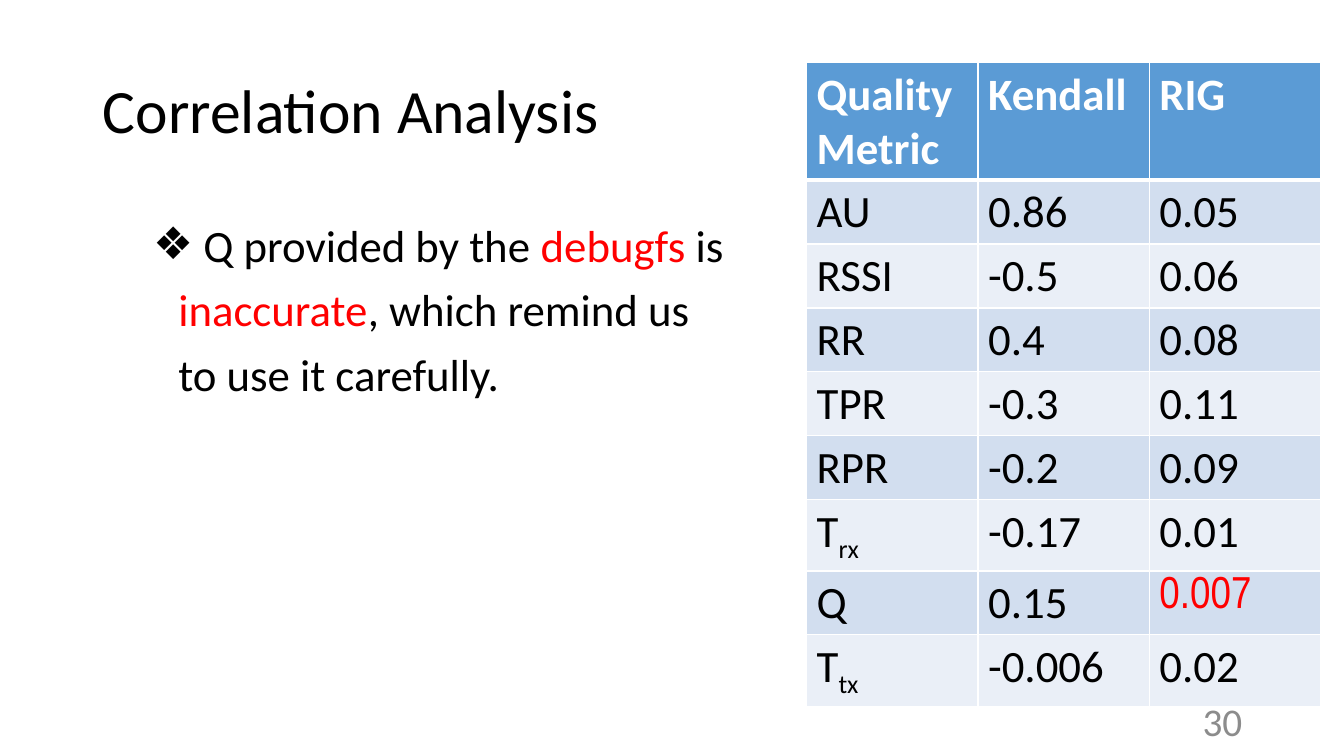
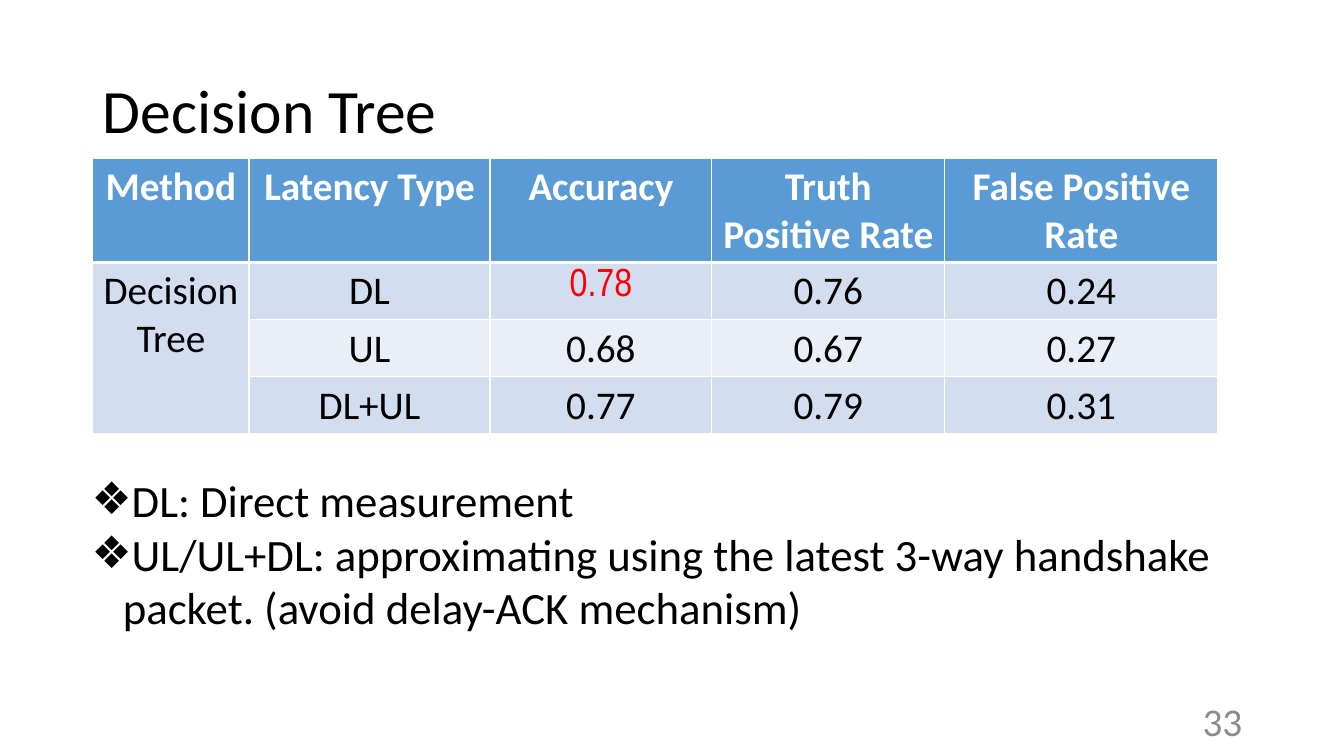
from lxml import etree
from pptx import Presentation
from pptx.dml.color import RGBColor
from pptx.enum.text import MSO_ANCHOR as Anchor, MSO_AUTO_SIZE as Fit, PP_ALIGN as Align
from pptx.oxml.ns import qn
from pptx.util import Inches, Pt

BLACK, WHITE, RED, GREY = "000000", "FFFFFF", "FF0000", "8C8C8C"
HEAD, BANDS = "5B9BD5", ("D2DEEF", "EAEFF7")
FONT = "Calibri"
TITLE = (0.92, 0.4, 11.5, 1.45)
NUMBER = (9.42, 6.95, 3, 0.4)

# Run formats
MARK = {"color": RED}
BEST = {"color": RED, "font": "Arial Narrow"}
SUB = {"base": -25000}


def rgb(code):
    return RGBColor.from_string(code)


def sizes(box):
    return [Inches(v) for v in box]


def bullet(para, left, hang):
    props = para._p.get_or_add_pPr()
    props.set("marL", str(Inches(left)))
    props.set("indent", str(-Inches(hang)))
    etree.SubElement(props, qn("a:buFont")).set("typeface", FONT)
    etree.SubElement(props, qn("a:buChar")).set("char", "❖")


def add_run(para, text, size, color=BLACK, font=FONT, bold=False, base=0):
    run = para.add_run()
    run.text = text
    run.font.size, run.font.name, run.font.bold = Pt(size), font, bold
    run.font.color.rgb = rgb(color)
    if base:
        run._r.get_or_add_rPr().set("baseline", str(base))


def write(frame, paras, align=Align.LEFT, anchor=Anchor.TOP, line=1.0,
          indent=None, **style):
    """Fill a frame; a paragraph is a string or a list of strings and (text, format) runs."""
    frame.word_wrap = True
    frame.vertical_anchor = anchor
    for i, runs in enumerate(paras):
        para = frame.add_paragraph() if i else frame.paragraphs[0]
        if indent:
            bullet(para, *indent)
        para.alignment, para.line_spacing = align, line
        for item in [runs] if isinstance(runs, str) else runs:
            text, extra = (item, {}) if isinstance(item, str) else item
            add_run(para, text, **{**style, **extra})


def add_text(slide, box, paras, **style):
    shape = slide.shapes.add_textbox(*sizes(box))
    write(shape.text_frame, paras, **style)


def edge(props, side, width):
    line = etree.SubElement(props, qn("a:ln" + side), w=str(Pt(width)))
    fill = etree.SubElement(line, qn("a:solidFill"))
    etree.SubElement(fill, qn("a:srgbClr"), val=WHITE)


def add_grid(slide, left, top, cols, height, rows, **style):
    """Draw a table with a blue head and banded rows; None leaves a cell empty."""
    box = (left, top, sum(cols), height * len(rows))
    table = slide.shapes.add_table(len(rows), len(cols), *sizes(box)).table
    for col, width in zip(table.columns, cols):
        col.width = Inches(width)
    for r, row in enumerate(rows):
        head = r == 0
        for c, text in enumerate(row):
            cell = table.cell(r, c)
            props = cell._tc.get_or_add_tcPr()
            for side in "LRTB":
                thick = (head and side == "B") or (r == 1 and side == "T")
                edge(props, side, 3 if thick else 1)
            cell.fill.solid()
            cell.fill.fore_color.rgb = rgb(HEAD if head else BANDS[(r - 1) % 2])
            if text is not None:
                write(cell.text_frame, [text], color=WHITE if head else BLACK,
                      bold=head, **style)
    return table


def add_page(deck, title, number):
    slide = deck.slides.add_slide(deck.slide_layouts[5])
    head = slide.shapes.title
    head.left, head.top, head.width, head.height = sizes(TITLE)
    head.text_frame.auto_size = Fit.NONE
    write(head.text_frame, [title], size=44, anchor=Anchor.MIDDLE, line=0.9)
    add_text(slide, NUMBER, [number], size=28, color=GREY, align=Align.RIGHT,
             anchor=Anchor.MIDDLE)
    return slide


def metrics(deck):
    slide = add_page(deck, "Correlation Analysis", "30")
    rows = [
        ("Quality Metric", "Kendall", "RIG"),
        ("AU", "0.86", "0.05"),
        ("RSSI", "-0.5", "0.06"),
        ("RR", "0.4", "0.08"),
        ("TPR", "-0.3", "0.11"),
        ("RPR", "-0.2", "0.09"),
        (["T", ("rx", SUB)], "-0.17", "0.01"),
        ("Q", "0.15", [("0.007", BEST)]),
        (["T", ("tx", SUB)], "-0.006", "0.02"),
    ]
    add_grid(slide, 8, 0.62, [1.7] * 3, 0.61, rows, size=32)
    # Finding
    note = [" Q provided by the ", ("debugfs ", MARK), "is ", ("inaccurate", MARK),
            ", which remind us to use it carefully."]
    add_text(slide, (0.92, 2, 6.43, 5.35), [note], size=32, line=1.2,
             indent=(0.75, 0.25))


def tree(deck):
    slide = add_page(deck, "Decision Tree", "33")
    # Latency types
    notes = ["DL: Direct measurement",
             "UL/UL+DL: approximating using the latest 3-way handshake packet. "
             "(avoid delay-ACK mechanism)"]
    add_text(slide, (0.81, 4.64, 11.71, 2.26), notes, size=32, indent=(0.31, 0.31))
    # Scores
    rows = [
        ("Method", "Latency Type", "Accuracy", "Truth Positive Rate",
         "False Positive Rate"),
        ("Decision Tree", "DL", [("0.78", BEST)], "0.76", "0.24"),
        (None, "UL", "0.68", "0.67", "0.27"),
        (None, "DL+UL", "0.77", "0.79", "0.31"),
    ]
    table = add_grid(slide, 0.92, 1.57, [1.55, 2.39, 2.2, 2.31, 2.71], 0.41, rows,
                     size=28, align=Align.CENTER)
    table.cell(1, 0).merge(table.cell(3, 0))


def main():
    deck = Presentation()
    deck.slide_width, deck.slide_height = Inches(13.33), Inches(7.5)
    metrics(deck)
    tree(deck)
    deck.save("out.pptx")


if __name__ == "__main__":
    main()
